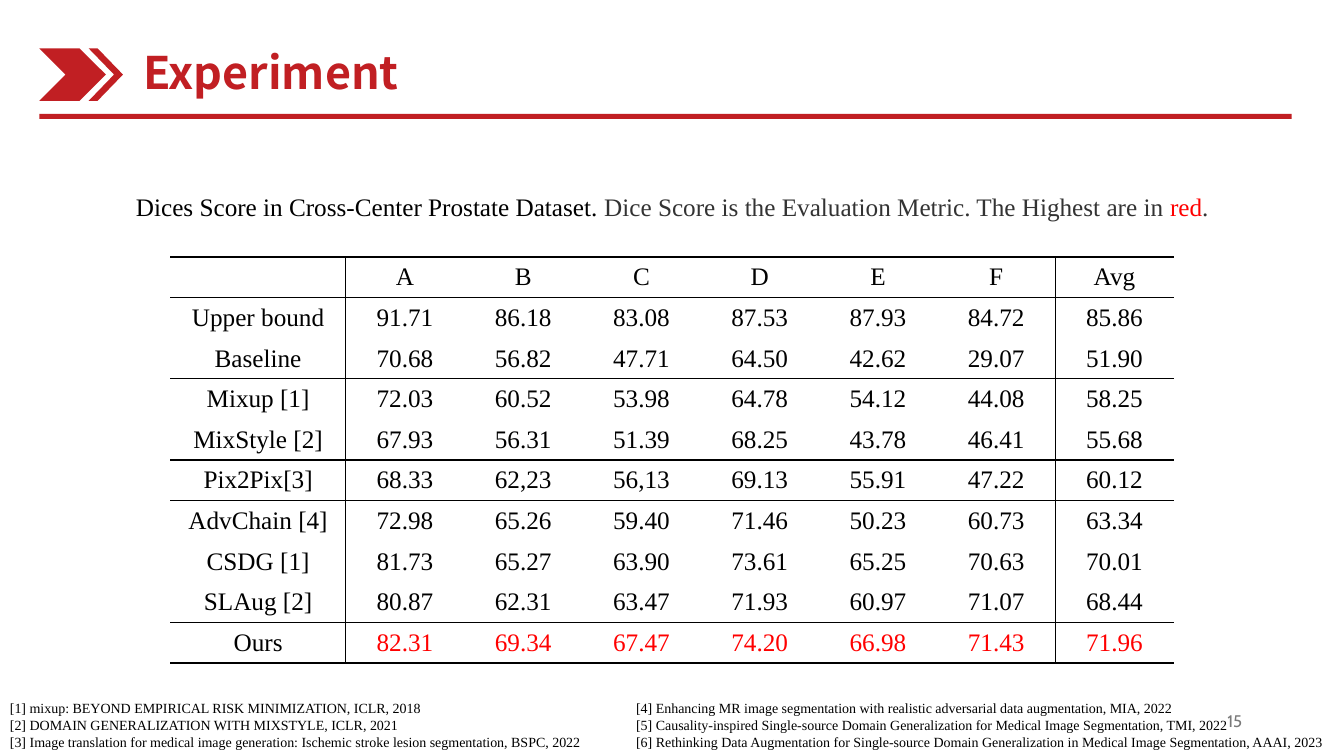
from lxml import etree
from pptx import Presentation
from pptx import util as u
from pptx.dml.color import RGBColor
from pptx.enum import shapes, text
from pptx.oxml import ns

CRIMSON = RGBColor(0xC1, 0x1F, 0x23)
BLACK = RGBColor(0, 0, 0)
CHARCOAL = RGBColor(0x33, 0x33, 0x33)
RED = RGBColor(0xFF, 0, 0)
GREY = RGBColor(0x79, 0x79, 0x79)
SERIF = "Times New Roman"

SCORES = [
    ["", "A", "B", "C", "D", "E", "F", "Avg"],
    ["Upper bound", "91.71", "86.18", "83.08", "87.53", "87.93", "84.72", "85.86"],
    ["Baseline", "70.68", "56.82", "47.71", "64.50", "42.62", "29.07", "51.90"],
    ["Mixup [1]", "72.03", "60.52", "53.98", "64.78", "54.12", "44.08", "58.25"],
    ["MixStyle [2]", "67.93", "56.31", "51.39", "68.25", "43.78", "46.41", "55.68"],
    ["Pix2Pix[3]", "68.33", "62,23", "56,13", "69.13", "55.91", "47.22", "60.12"],
    ["AdvChain [4]", "72.98", "65.26", "59.40", "71.46", "50.23", "60.73", "63.34"],
    ["CSDG [1]", "81.73", "65.27", "63.90", "73.61", "65.25", "70.63", "70.01"],
    ["SLAug [2]", "80.87", "62.31", "63.47", "71.93", "60.97", "71.07", "68.44"],
    ["Ours", "82.31", "69.34", "67.47", "74.20", "66.98", "71.43", "71.96"],
]
RULED_ROWS = {-1, 0, 2, 4, 5, 8, 9}
RULED_COLUMNS = {0, 6}

CAPTION = [
    ("Dices Score in Cross-Center Prostate Dataset. ", BLACK),
    ("Dice Score is the Evaluation Metric. The Highest are in ", CHARCOAL),
    ("red", RED),
    (".", CHARCOAL),
]
LEFT_REFERENCES = [
    "[1] mixup: BEYOND EMPIRICAL RISK MINIMIZATION, ICLR, 2018",
    "[2] DOMAIN GENERALIZATION WITH MIXSTYLE, ICLR, 2021",
    "[3] Image translation for medical image generation: Ischemic stroke lesion segmentation, BSPC, 2022",
]
RIGHT_REFERENCES = [
    "[4] Enhancing MR image segmentation with realistic adversarial data augmentation, MIA, 2022",
    "[5] Causality-inspired Single-source Domain Generalization for Medical Image Segmentation, TMI, 2022",
    "[6] Rethinking Data Augmentation for Single-source Domain Generalization in Medical Image Segmentation, AAAI, 2023",
]


def add_run(paragraph, wording, size, color, font=SERIF, bold=False):
    run = paragraph.add_run()
    run.text = wording
    run.font.size = u.Pt(size)
    run.font.name = font
    run.font.bold = bold
    run.font.color.rgb = color
    if font != SERIF:
        east_asian = etree.SubElement(run.font._element, ns.qn("a:ea"))
        east_asian.set("typeface", font)


def add_frame(slide, left, top, width, height, wrap=True):
    box = slide.shapes.add_textbox(*map(u.Inches, (left, top, width, height)))
    frame = box.text_frame
    frame.word_wrap = wrap
    return frame


def add_solid(parent, preset, left, top, width, height):
    solid = parent.add_shape(preset, *map(u.Inches, (left, top, width, height)))
    solid.shadow.inherit = False
    solid.fill.solid()
    solid.fill.fore_color.rgb = CRIMSON
    solid.line.fill.background()
    return solid


def add_header(slide, left, top, width):
    add_solid(slide.shapes, shapes.MSO_SHAPE.RECTANGLE, left, top + 0.74, width, 0.05)
    emblem = slide.shapes.add_group_shape().shapes
    chevron = shapes.MSO_SHAPE.CHEVRON
    add_solid(emblem, chevron, left, top + 0.09, 0.66, 0.52)
    thin_chevron = add_solid(emblem, chevron, left + 0.49, top + 0.09, 0.34, 0.52)
    thin_chevron.adjustments[0] = 0.74
    heading = add_frame(slide, left + 0.93, top, 4.72, 0.64)
    heading.margin_top = heading.margin_bottom = 0
    heading.vertical_anchor = text.MSO_ANCHOR.MIDDLE
    add_run(heading.paragraphs[0], "Experiment", 32, CRIMSON, "Noto Sans CJK SC", True)


def rule_cell(cell, row, column):
    ruled = {
        "lnL": column - 1 in RULED_COLUMNS,
        "lnR": column in RULED_COLUMNS,
        "lnT": row - 1 in RULED_ROWS,
        "lnB": row in RULED_ROWS,
    }
    properties = cell._tc.get_or_add_tcPr()
    for position, (side, visible) in enumerate(ruled.items()):
        edge = etree.Element(ns.qn("a:" + side), w=str(u.Pt(1)))
        if visible:
            fill = etree.SubElement(edge, ns.qn("a:solidFill"))
            etree.SubElement(fill, ns.qn("a:srgbClr"), val=str(BLACK))
        else:
            etree.SubElement(edge, ns.qn("a:noFill"))
        properties.insert(position, edge)


def add_scores(slide, left, top, width, height):
    frame = slide.shapes.add_table(
        len(SCORES), len(SCORES[0]), *map(u.Inches, (left, top, width, height)))
    table = frame.table
    table.first_row = False
    table.horz_banding = False
    method_width = 1.74
    score_width = (width - method_width) / (len(SCORES[0]) - 1)
    for column, track in enumerate(table.columns):
        track.width = u.Inches(score_width if column else method_width)
    for track in table.rows:
        track.height = u.Inches(height / len(SCORES))
    for row, entries in enumerate(SCORES):
        for column, entry in enumerate(entries):
            cell = table.cell(row, column)
            cell.fill.background()
            cell.vertical_anchor = text.MSO_ANCHOR.MIDDLE
            paragraph = cell.text_frame.paragraphs[0]
            paragraph.alignment = text.PP_ALIGN.CENTER
            paragraph.font.size = u.Pt(18)
            if entry:
                best = entries[0] == "Ours" and column > 0
                add_run(paragraph, entry, 18, RED if best else BLACK)
            rule_cell(cell, row, column)


def add_caption(slide, left, top, width, height):
    caption = add_frame(slide, left, top, width, height, wrap=False)
    for wording, color in CAPTION:
        add_run(caption.paragraphs[0], wording, 18, color)


def add_references(slide, references, left, top, width, height):
    frame = add_frame(slide, left, top, width, height)
    for index, reference in enumerate(references):
        paragraph = frame.add_paragraph() if index else frame.paragraphs[0]
        add_run(paragraph, reference, 10, BLACK)


def add_page_number(slide, left, top, width, height):
    frame = add_frame(slide, left, top, width, height)
    frame.vertical_anchor = text.MSO_ANCHOR.MIDDLE
    frame.paragraphs[0].alignment = text.PP_ALIGN.RIGHT
    add_run(frame.paragraphs[0], "15", 12, GREY, "Cabin")


def main():
    deck = Presentation()
    deck.slide_width = u.Inches(13.33)
    deck.slide_height = u.Inches(7.5)
    slide = deck.slides.add_slide(deck.slide_layouts[6])
    add_header(slide, 0.39, 0.39, 12.42)
    add_scores(slide, 1.69, 2.55, 9.95, 4.03)
    add_caption(slide, 1.25, 1.85, 10.95, 0.4)
    add_references(slide, LEFT_REFERENCES, 0, 6.89, 8.54, 0.61)
    add_references(slide, RIGHT_REFERENCES, 6.21, 6.89, 7.12, 0.61)
    add_page_number(slide, 9.42, 6.95, 3, 0.4)
    deck.save("out.pptx")


if __name__ == "__main__":
    main()
